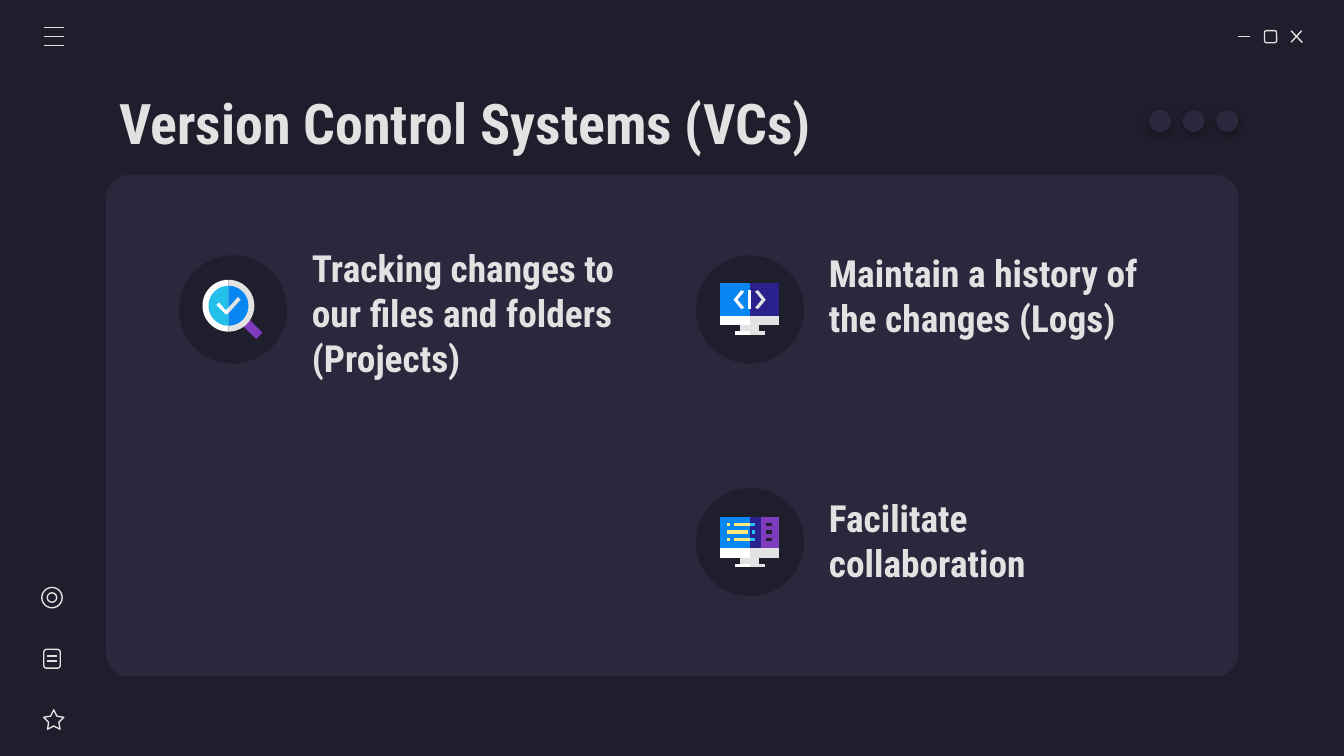
from math import cos, pi, sin

from lxml.etree import SubElement
from pptx import Presentation
from pptx.dml.color import RGBColor
from pptx.enum.shapes import MSO_CONNECTOR, MSO_SHAPE as Shape
from pptx.enum.text import MSO_ANCHOR, PP_ALIGN
from pptx.oxml.ns import qn
from pptx.util import Pt

COLORS = {
    "night": "1E1E2C", "panel": "29283D", "light": "E2E2E2", "white": "FFFFFF",
    "indigo": "2B218D", "blue": "0887F2", "cyan": "24BFEB", "purple": "7E3BBE",
    "yellow": "FFEA7D", "black": "000000",
}
FONT = "Roboto Condensed"


def rgb(name):
    return RGBColor.from_string(COLORS[name])


class Page:
    """Style and drawing methods for one slide, with lengths in points."""

    def __init__(self, slide):
        self.slide = slide
        self.shapes = slide.shapes
        slide.background.fill.solid()
        slide.background.fill.fore_color.rgb = rgb("night")

    def paint(self, shape, fill=None, line=None):
        shape.shadow.inherit = False
        if fill:
            shape.fill.solid()
            shape.fill.fore_color.rgb = rgb(fill)
        else:
            shape.fill.background()
        if line:
            shape.line.color.rgb = rgb(line)
            shape.line.width = Pt(0.75)
        else:
            shape.line.fill.background()
        return shape

    def preset(self, kind, x, y, w, h, fill=None, line=None, adjust=None):
        shape = self.shapes.add_shape(kind, Pt(x), Pt(y), Pt(w), Pt(h))
        if adjust is not None:
            shape.adjustments[0] = adjust
        return self.paint(shape, fill, line)

    def line(self, x1, y1, x2, y2):
        stroke = self.shapes.add_connector(
            MSO_CONNECTOR.STRAIGHT, Pt(x1), Pt(y1), Pt(x2), Pt(y2))
        stroke.line.color.rgb = rgb("light")
        stroke.line.width = Pt(0.75)
        SubElement(stroke._element.spPr, qn("a:effectLst"))

    def polygon(self, origin, fill, points):
        left, top = origin
        corners = [(Pt(left + x), Pt(top + y)) for x, y in points]
        outline = self.shapes.build_freeform(*corners[0], scale=1.0)
        outline.add_line_segments(corners[1:], close=True)
        self.paint(outline.convert_to_shape(), fill)

    def block(self, origin, fill, x1, y1, x2, y2):
        self.polygon(origin, fill, [(x1, y1), (x2, y1), (x2, y2), (x1, y2)])

    def half_disc(self, origin, fill, cx, cy, radius, side):
        angles = [pi * step / 24 for step in range(25)]
        self.polygon(origin, fill, [
            (cx + side * radius * sin(a), cy - radius * cos(a)) for a in angles])

    def drop_shadow(self, shape):
        effects = shape._element.spPr.find(qn("a:effectLst"))
        shadow = SubElement(effects, qn("a:outerShdw"), blurRad=str(Pt(4.5)),
                            dist=str(Pt(1.5)), dir="5400000", algn="bl",
                            rotWithShape="0")
        color = SubElement(shadow, qn("a:srgbClr"), val=COLORS["black"])
        SubElement(color, qn("a:alpha"), val="30000")

    def text(self, words, x, y, w, h, size):
        frame = self.shapes.add_textbox(Pt(x), Pt(y), Pt(w), Pt(h)).text_frame
        frame.word_wrap = True
        frame.vertical_anchor = MSO_ANCHOR.MIDDLE
        frame.margin_left = frame.margin_right = Pt(7.2)
        frame.margin_top = frame.margin_bottom = Pt(7.2)
        paragraph = frame.paragraphs[0]
        paragraph.text = words
        paragraph.alignment = PP_ALIGN.LEFT
        font = paragraph.font
        font.name, font.size, font.bold = FONT, Pt(size), True
        font.color.rgb = rgb("light")


# Icons, measured from the corner of their disc
def magnifier(page, disc):
    page.polygon(disc, "purple", [(36, 32.4), (32.4, 36), (41.5, 44.8), (44.8, 41.5)])
    for radius, right, left in ((13.9, "light", "white"), (10.7, "blue", "cyan")):
        page.half_disc(disc, right, 26.6, 27, radius, 1)
        page.half_disc(disc, left, 26.6, 27, radius, -1)
    page.polygon(disc, "light", [(31.7, 22.3), (26.6, 28.1), (25.9, 29.5),
                                 (26.6, 31), (33.1, 23.8)])
    page.polygon(disc, "white", [(21.6, 25.2), (20.2, 26.6), (25.2, 31.7),
                                 (26.6, 31), (26.6, 28.1), (25.2, 29.5)])


def monitor_stand(page, disc):
    page.block(disc, "light", 28.8, 36.5, 33.8, 41.4)
    page.block(disc, "light", 23.8, 36.5, 28.8, 41.4)
    page.block(disc, "light", 28.8, 40.7, 37.1, 42.5)
    page.block(disc, "white", 20.9, 40.7, 28.8, 42.5)
    page.block(disc, "light", 28.8, 32.4, 44.6, 37.4)
    page.block(disc, "white", 13, 32.4, 28.8, 37.4)


def code_monitor(page, disc):
    page.block(disc, "indigo", 28.8, 15.1, 44.6, 32.4)
    page.block(disc, "blue", 13, 15.1, 28.8, 32.4)
    monitor_stand(page, disc)
    for fill, tip, side in (("white", 20.2, 1), ("light", 37.4, -1)):
        page.polygon(disc, fill, [
            (tip + side * dx, y) for dx, y in (
                (4.1, 18.7), (0, 23.8), (4.1, 28.8),
                (5.7, 28.1), (2.1, 23.8), (5.7, 19.4))])
    page.block(disc, "white", 27.8, 18.7, 29.7, 28.8)


def list_monitor(page, disc):
    page.block(disc, "purple", 34.6, 15.6, 44.6, 32.4)
    page.block(disc, "indigo", 28.8, 15.6, 34.6, 32.4)
    page.block(disc, "blue", 13, 15.6, 28.8, 32.4)
    monitor_stand(page, disc)
    bullet_row = (("yellow", 16.6, 18.4), ("yellow", 20.2, 28.8), ("cyan", 28.8, 31.7))
    wide_row = (("yellow", 16.6, 28.1), ("cyan", 29.9, 31.7))
    for row, marks in enumerate((bullet_row, wide_row, bullet_row)):
        top = 18.7 + 4.1 * row
        for fill, start, end in marks + (("night", 37.4, 41),):
            page.block(disc, fill, start, top, end, top + 1.8)


deck = Presentation()
deck.slide_width, deck.slide_height = Pt(720), Pt(405)
page = Page(deck.slides.add_slide(deck.slide_layouts[6]))

# Panel
page.preset(Shape.ROUNDED_RECTANGLE, 56.9, 93.6, 606.6, 268.8, "panel", adjust=0.047)

# Window buttons
page.line(663.2, 19.6, 669.6, 19.6)
page.preset(Shape.ROUNDED_RECTANGLE, 677.4, 16.4, 6.5, 6.5, line="light")
page.line(691.7, 16.5, 697.7, 22.8)
page.line(697.3, 16.5, 691.7, 22.6)

# Menu
for level in range(3):
    page.line(23.4, 14.8 + 4.8 * level, 34.2, 14.8 + 4.8 * level)

# Sidebar icons
page.preset(Shape.STAR_5_POINT, 23.4, 380.3, 10.8, 10.4, line="light", adjust=0.254)
page.preset(Shape.ROUNDED_RECTANGLE, 23.5, 347.9, 8.8, 10.1, line="light")
for rule in (351.5, 354.1):
    page.line(25.3, rule, 30.5, rule)
for inset in (0, 2.9):
    page.preset(Shape.OVAL, 22.4 + inset, 314.7 + inset,
                10.9 - 2 * inset, 10.9 - 2 * inset, line="light")

# Title and its dots
page.text("Version Control Systems (VCs)", 56.9, 42.5, 606.6, 45.4, 30)
for place in range(3):
    page.drop_shadow(page.preset(Shape.OVAL, 615.6 + 18 * place, 59, 11.7, 11.7, "panel"))

# Benefits: disc corner, icon, text top, wording
benefits = (
    (95.8, 136.8, magnifier, 152, "Tracking changes to our files and folders (Projects)"),
    (372.8, 136.8, code_monitor, 142.8, "Maintain a history of the changes (Logs)"),
    (372.8, 261.4, list_monitor, 273.8, "Facilitate collaboration"),
)
for left, top, draw_icon, text_top, wording in benefits:
    page.preset(Shape.OVAL, left, top, 58, 58, "night")
    draw_icon(page, (left, top))
    page.text(wording, left + 64.2, text_top, 196.6, 31, 20)

deck.save("out.pptx")
